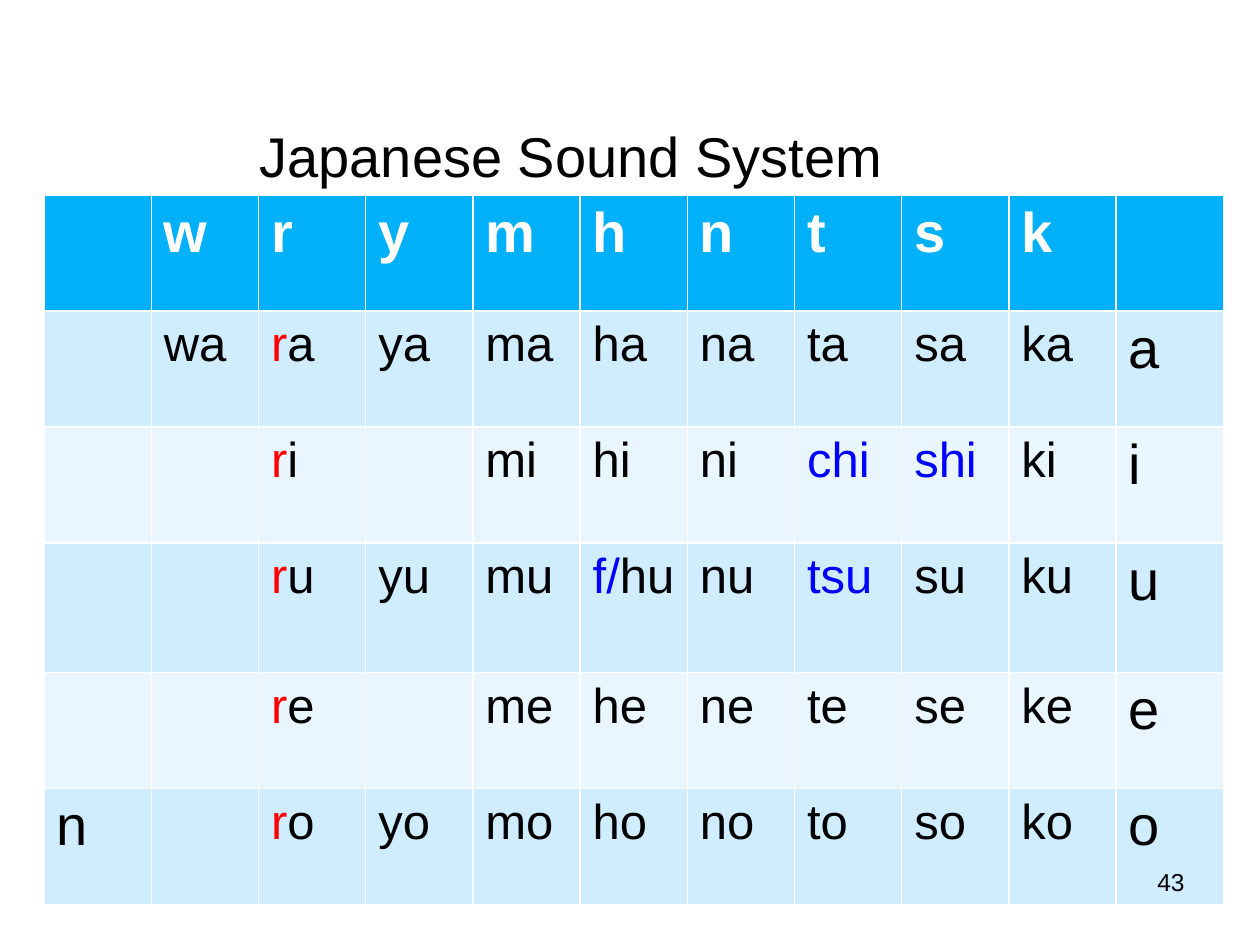
from dataclasses import dataclass

from pptx import Presentation
from pptx import util as u
from pptx.dml.color import RGBColor
from pptx.enum import text

BLACK = RGBColor(0x00, 0x00, 0x00)
WHITE = RGBColor(0xFF, 0xFF, 0xFF)
RED = RGBColor(0xFF, 0x00, 0x00)
BLUE = RGBColor(0x00, 0x00, 0xFF)
HEADER_FILL = RGBColor(0x00, 0xB0, 0xF9)
BAND_FILLS = (RGBColor(0xD0, 0xEC, 0xFF), RGBColor(0xE9, 0xF6, 0xFF))

TABLE_WIDTH = 9.36
ROW_HEIGHTS = (0.92, 0.92, 0.92, 1.03, 0.92, 0.92)
SOUNDS = (
    ("", "w", "r", "y", "m", "h", "n", "t", "s", "k", ""),
    ("", "wa", "ra", "ya", "ma", "ha", "na", "ta", "sa", "ka", "a"),
    ("", "", "ri", "", "mi", "hi", "ni", "chi", "shi", "ki", "i"),
    ("", "", "ru", "yu", "mu", "f/hu", "nu", "tsu", "su", "ku", "u"),
    ("", "", "re", "", "me", "he", "ne", "te", "se", "ke", "e"),
    ("n", "", "ro", "yo", "mo", "ho", "no", "to", "so", "ko", "o"),
)


@dataclass(frozen=True)
class Accent:
    """A coloured beginning of a syllable."""
    prefix: str
    color: RGBColor


ACCENTS = (Accent("r", RED), Accent("chi", BLUE), Accent("shi", BLUE),
           Accent("f/", BLUE), Accent("tsu", BLUE))


def add_span(para, words: str, *, size: float, color: RGBColor = BLACK,
             bold: bool = False) -> None:
    span = para.add_run()
    span.text = words
    span.font.name = "Arial"
    span.font.size = u.Pt(size)
    span.font.bold = bold
    span.font.color.rgb = color


def add_syllable(para, syllable: str, size: float) -> None:
    for accent in ACCENTS:
        if syllable.startswith(accent.prefix):
            add_span(para, accent.prefix, size=size, color=accent.color)
            syllable = syllable.removeprefix(accent.prefix)
            break
    if syllable:
        add_span(para, syllable, size=size)


def add_sound_table(page) -> None:
    row_count, column_count = len(SOUNDS), len(SOUNDS[0])
    table = page.shapes.add_table(
        row_count, column_count, u.Inches(0.35), u.Inches(1.55),
        u.Inches(TABLE_WIDTH), u.Inches(sum(ROW_HEIGHTS))).table
    for column in table.columns:
        column.width = u.Inches(TABLE_WIDTH / column_count)
    for row, height in zip(table.rows, ROW_HEIGHTS):
        row.height = u.Inches(height)

    for row_index, sounds in enumerate(SOUNDS):
        is_header = row_index == 0
        fill = HEADER_FILL if is_header else BAND_FILLS[(row_index - 1) % 2]
        for column_index, sound in enumerate(sounds):
            cell = table.cell(row_index, column_index)
            cell.fill.solid()
            cell.fill.fore_color.rgb = fill
            para = cell.text_frame.paragraphs[0]
            if not sound:
                continue
            if is_header:
                add_span(para, sound, size=32, color=WHITE, bold=True)
            else:
                # Single sounds in the outer columns are larger
                add_syllable(para, sound, 32 if len(sound) == 1 else 28)


def main() -> None:
    deck = Presentation()
    deck.slide_width, deck.slide_height = u.Inches(10), u.Inches(7.5)
    page = deck.slides.add_slide(deck.slide_layouts[5])

    # Title
    title = page.shapes.title
    title.left, title.top = u.Inches(1.96), u.Inches(0.3)
    title.width, title.height = u.Inches(7.91), u.Inches(1.25)
    frame = title.text_frame
    frame.auto_size = text.MSO_AUTO_SIZE.NONE
    frame.vertical_anchor = text.MSO_ANCHOR.BOTTOM
    frame.paragraphs[0].alignment = text.PP_ALIGN.LEFT
    add_span(frame.paragraphs[0], "Japanese Sound System", size=32)

    # Consonants across, vowels down
    add_sound_table(page)

    # Page number
    box = page.shapes.add_textbox(u.Inches(7.17), u.Inches(6.83),
                                  u.Inches(2.33), u.Inches(0.52))
    box.text_frame.word_wrap = True
    para = box.text_frame.paragraphs[0]
    para.alignment = text.PP_ALIGN.RIGHT
    add_span(para, "43", size=14)

    deck.save("out.pptx")


if __name__ == "__main__":
    main()
